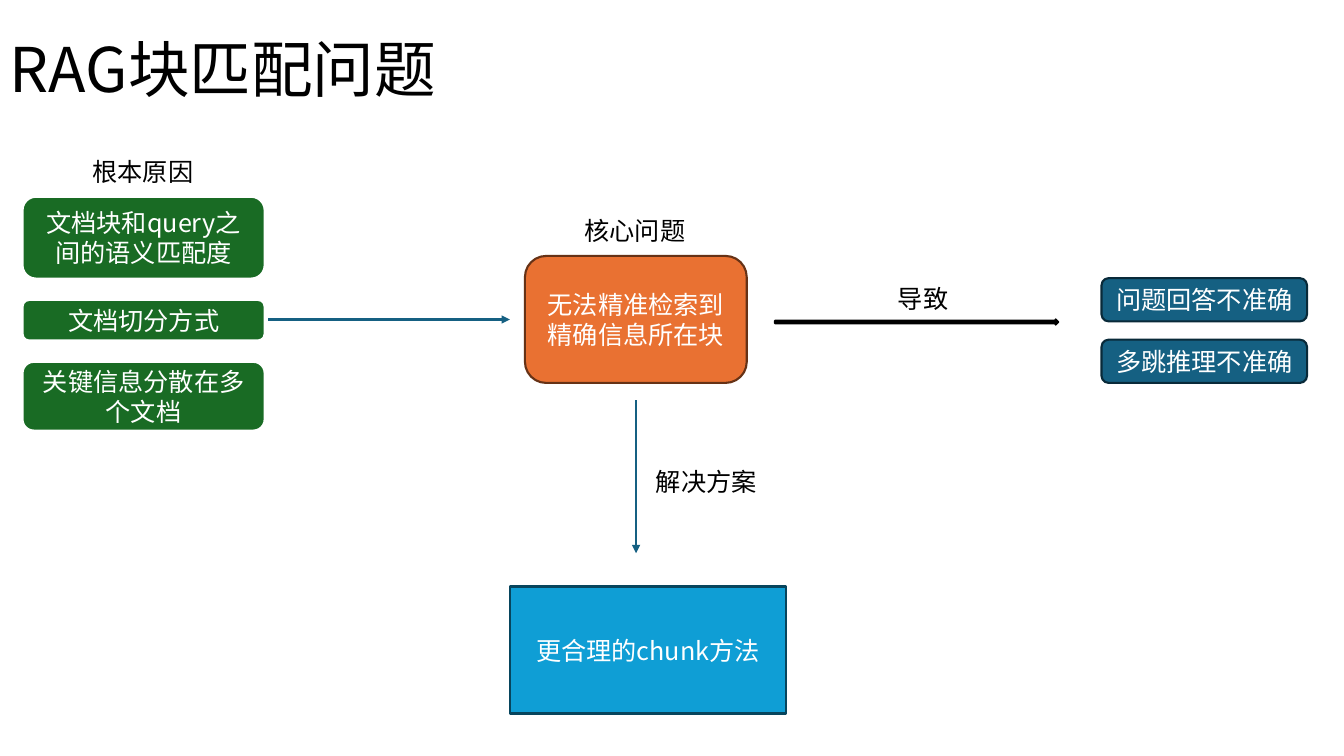
from dataclasses import dataclass

from lxml import etree
from pptx import Presentation
from pptx.dml.color import RGBColor
from pptx.enum.shapes import MSO_CONNECTOR, MSO_SHAPE
from pptx.enum.text import MSO_ANCHOR, MSO_AUTO_SIZE, PP_ALIGN
from pptx.oxml.ns import qn
from pptx.util import Cm, Pt

ROUNDED = MSO_SHAPE.ROUNDED_RECTANGLE
RIGHT_ARROW = MSO_SHAPE.RIGHT_ARROW
STRAIGHT = MSO_CONNECTOR.STRAIGHT
TOP, MIDDLE = MSO_ANCHOR.TOP, MSO_ANCHOR.MIDDLE
LEFT, CENTER = PP_ALIGN.LEFT, PP_ALIGN.CENTER
FIT_TEXT, FIXED = MSO_AUTO_SIZE.SHAPE_TO_FIT_TEXT, MSO_AUTO_SIZE.NONE


@dataclass(frozen=True)
class Theme:
    font: str = "Noto Sans CJK SC"
    title_size: int = 44
    body_size: int = 18
    line_width: float = 1.5
    cause_line_width: float = 2
    ink: str = "000000"
    paper: str = "FFFFFF"
    cause: str = "196B24"
    problem: str = "E97132"
    problem_edge: str = "663216"
    effect: str = "156082"
    effect_edge: str = "092A39"
    solution: str = "0F9ED5"
    solution_edge: str = "07455D"


def apply(target, values):
    for name, value in values.items():
        setattr(target, name, value)


class Diagram:
    def __init__(self, slide, theme):
        self.slide = slide
        self.theme = theme

    def fill_text(self, frame, text, size, color, frame_format, paragraph_format):
        apply(frame, frame_format)
        paragraph = frame.paragraphs[0]
        apply(paragraph, paragraph_format)
        run = paragraph.add_run()
        run.text = text
        apply(run.font, {"name": self.theme.font, "size": Pt(size)})
        run.font.color.rgb = RGBColor.from_string(color)
        east_asian = etree.SubElement(run._r.get_or_add_rPr(), qn("a:ea"))
        east_asian.set("typeface", self.theme.font)

    def outline(self, line, color, width):
        line.color.rgb = RGBColor.from_string(color)
        line.width = Pt(width)

    def block(self, kind, bounds, fill, edge, width=None):
        block = self.slide.shapes.add_shape(kind, *map(Cm, bounds))
        block.shadow.inherit = False
        block.fill.solid()
        block.fill.fore_color.rgb = RGBColor.from_string(fill)
        self.outline(block.line, edge, width or self.theme.line_width)
        return block

    def box(self, text, bounds, fill, edge, width=None):
        box = self.block(ROUNDED, bounds, fill, edge, width)
        self.fill_text(box.text_frame, text, self.theme.body_size, self.theme.paper,
                       {"word_wrap": True, "vertical_anchor": MIDDLE},
                       {"alignment": CENTER})
        return box

    def title(self, text, bounds):
        title = self.slide.shapes.add_textbox(*map(Cm, bounds))
        self.fill_text(title.text_frame, text, self.theme.title_size, self.theme.ink,
                       {"word_wrap": True, "vertical_anchor": MIDDLE, "auto_size": FIXED},
                       {"alignment": LEFT, "line_spacing": 0.9})

    def label(self, text, left, top, width):
        label = self.slide.shapes.add_textbox(Cm(left), Cm(top), Cm(width), Cm(1.02))
        self.fill_text(label.text_frame, text, self.theme.body_size, self.theme.ink,
                       {"word_wrap": False, "vertical_anchor": TOP, "auto_size": FIT_TEXT},
                       {"alignment": LEFT})

    def arrow(self, *ends):
        arrow = self.slide.shapes.add_connector(STRAIGHT, *map(Cm, ends))
        self.outline(arrow.line, self.theme.effect, self.theme.line_width)
        properties = arrow._element.spPr
        head = etree.SubElement(properties.find(qn("a:ln")), qn("a:tailEnd"))
        head.set("type", "triangle")
        etree.SubElement(properties, qn("a:effectLst"))


def main():
    deck = Presentation()
    apply(deck, {"slide_width": Cm(33.87), "slide_height": Cm(19.05)})
    theme = Theme()
    diagram = Diagram(deck.slides.add_slide(deck.slide_layouts[6]), theme)

    diagram.title("RAG块匹配问题", (0, 0, 29.21, 3.68))

    diagram.box("无法精准检索到精确信息所在块", (13.23, 6.45, 5.59, 3.2),
                theme.problem, theme.problem_edge)

    for row, effect in enumerate(("问题回答不准确", "多跳推理不准确")):
        diagram.box(effect, (27.76, 7.01 + 1.55 * row, 5.18, 1.09),
                    theme.effect, theme.effect_edge)

    solution = diagram.box("更合理的chunk方法", (12.85, 14.78, 6.96, 3.2),
                           theme.solution, theme.solution_edge)
    solution.adjustments[0] = 0

    diagram.block(RIGHT_ARROW, (19.53, 8.05, 7.14, 0.13), theme.ink, theme.ink)
    diagram.arrow(16.03, 10.08, 16.03, 13.94)
    diagram.arrow(6.76, 8.05, 12.85, 8.05)

    cause_top, cause_gap = 4.95, 0.52
    for cause, height in (("文档块和query之间的语义匹配度", 2.08),
                          ("文档切分方式", 1.04),
                          ("关键信息分散在多个文档", 1.75)):
        diagram.box(cause, (0.56, cause_top, 6.12, height),
                    theme.cause, theme.paper, theme.cause_line_width)
        cause_top += height + cause_gap

    for text, left, top, width in (("核心问题", 14.48, 5.31, 3.07),
                                   ("导致", 22.38, 7.01, 1.8),
                                   ("解决方案", 16.28, 11.63, 3.07),
                                   ("根本原因", 2.08, 3.81, 3.07)):
        diagram.label(text, left, top, width)

    deck.save("out.pptx")


if __name__ == "__main__":
    main()
